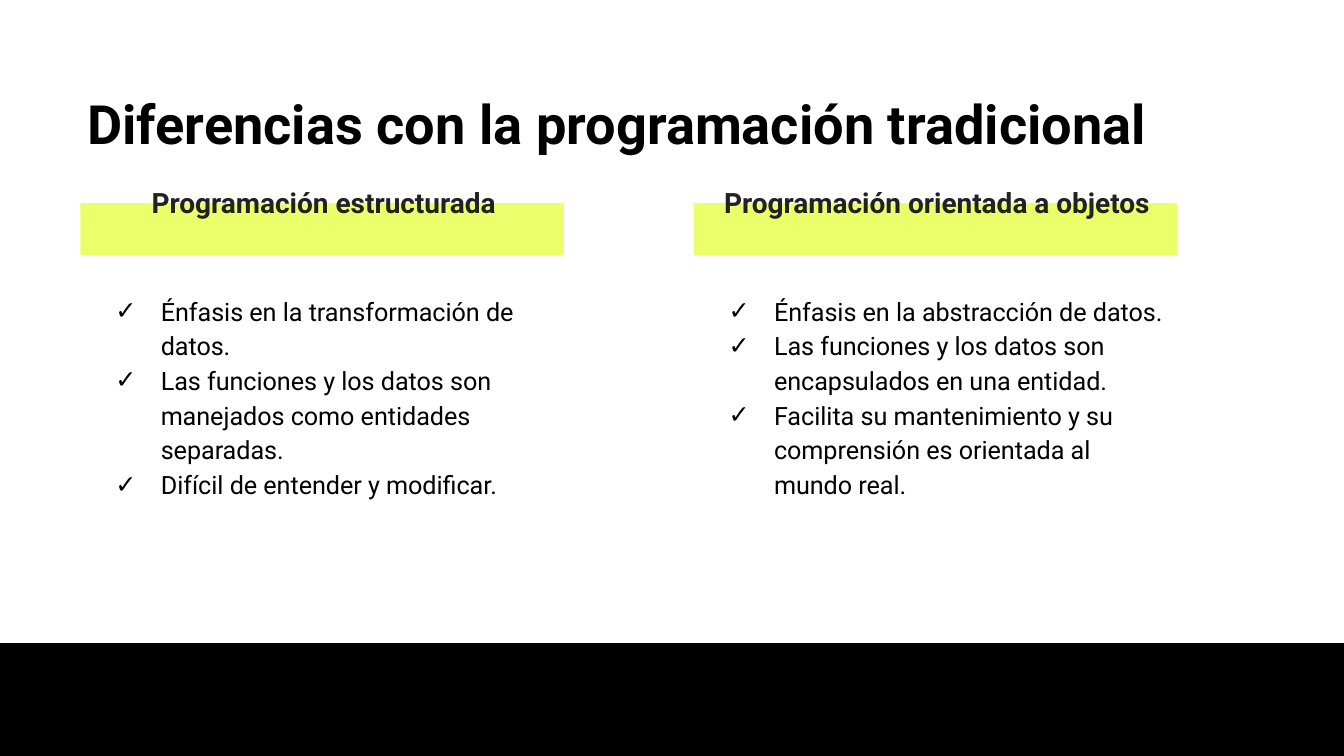
"""Builds a slide comparing structured and object-oriented programming."""
from dataclasses import dataclass

from lxml import etree
from pptx import Presentation
from pptx import util as u
from pptx.dml import color
from pptx.enum import shapes, text
from pptx.oxml import ns


@dataclass(frozen=True)
class Theme:
    font: str = "Roboto"
    ink: str = "000000"
    head: str = "222222"
    lime: str = "EAFF6A"
    title: float = 29
    label: float = 15
    body: float = 13.5


THEME = Theme()
WIDE, HIGH = 25.4, 14.29
LEFT, STEP, SPAN = 1.52, 11.59, 9.14
SIDES = [
    ("Programación estructurada", [
        "Énfasis en la transformación de datos.",
        "Las funciones y los datos son manejados como entidades separadas.",
        "Difícil de entender y modificar.",
    ]),
    ("Programación orientada a objetos", [
        "Énfasis en la abstracción de datos.",
        "Las funciones y los datos son encapsulados en una entidad.",
        "Facilita su mantenimiento y su comprensión es orientada al mundo real.",
    ]),
]


def apply(item, form):
    for name, value in form.items():
        setattr(item, name, value)


def add_bar(slide, area, tint, edge=0):
    bar = slide.shapes.add_shape(shapes.MSO_SHAPE.RECTANGLE, *map(u.Cm, area))
    bar.shadow.inherit = False
    bar.fill.solid()
    bar.fill.fore_color.rgb = color.RGBColor.from_string(tint)
    if edge:
        bar.line.color.rgb = color.RGBColor.from_string(tint)
        bar.line.width = u.Pt(edge)
    else:
        bar.line.fill.background()


def add_check(para):
    props = para._p.get_or_add_pPr()
    props.set("marL", str(u.Cm(1.27)))
    props.set("indent", str(u.Cm(-0.86)))
    tint = etree.SubElement(props, ns.qn("a:buClr"))
    etree.SubElement(tint, ns.qn("a:srgbClr"), val=THEME.ink)
    etree.SubElement(props, ns.qn("a:buFont"), typeface=THEME.font)
    etree.SubElement(props, ns.qn("a:buChar"), char="✓")


def add_text(slide, area, lines, size, tint=THEME.ink, bold=False,
             align=text.PP_ALIGN.LEFT, pitch=0.9, check=False):
    frame = slide.shapes.add_textbox(*map(u.Cm, area)).text_frame
    pad = u.Cm(0.25)
    apply(frame, {
        "word_wrap": True,
        "auto_size": text.MSO_AUTO_SIZE.SHAPE_TO_FIT_TEXT,
        "margin_left": pad, "margin_right": pad,
        "margin_top": pad, "margin_bottom": pad,
    })
    for rank, line in enumerate(lines):
        para = frame.add_paragraph() if rank else frame.paragraphs[0]
        apply(para, {"alignment": align, "line_spacing": pitch})
        if check:
            add_check(para)
        run = para.add_run()
        run.text = line
        apply(run.font, {"name": THEME.font, "size": u.Pt(size), "bold": bold})
        run.font.color.rgb = color.RGBColor.from_string(tint)


def add_side(slide, left, label, points):
    add_bar(slide, (left, 3.84, SPAN, 0.98), THEME.lime)
    add_text(slide, (left - 0.2, 3.33, SPAN + 0.46, 1.09), [label],
             THEME.label, THEME.head, True, text.PP_ALIGN.CENTER)
    add_text(slide, (left, 5.26, SPAN, 4.42), points, THEME.body,
             pitch=1.15, check=True)


def main():
    deck = Presentation()
    apply(deck, {"slide_width": u.Cm(WIDE), "slide_height": u.Cm(HIGH)})
    slide = deck.slides.add_slide(deck.slide_layouts[6])
    add_text(slide, (1.4, 1.6, 22.6, 1.63),
             ["Diferencias con la programación tradicional"],
             THEME.title, bold=True)
    for rank, (label, points) in enumerate(SIDES):
        add_side(slide, LEFT + rank * STEP, label, points)
    add_bar(slide, (0, 12.19, WIDE, HIGH - 12.19), THEME.ink, edge=2)
    deck.save("out.pptx")


if __name__ == "__main__":
    main()
